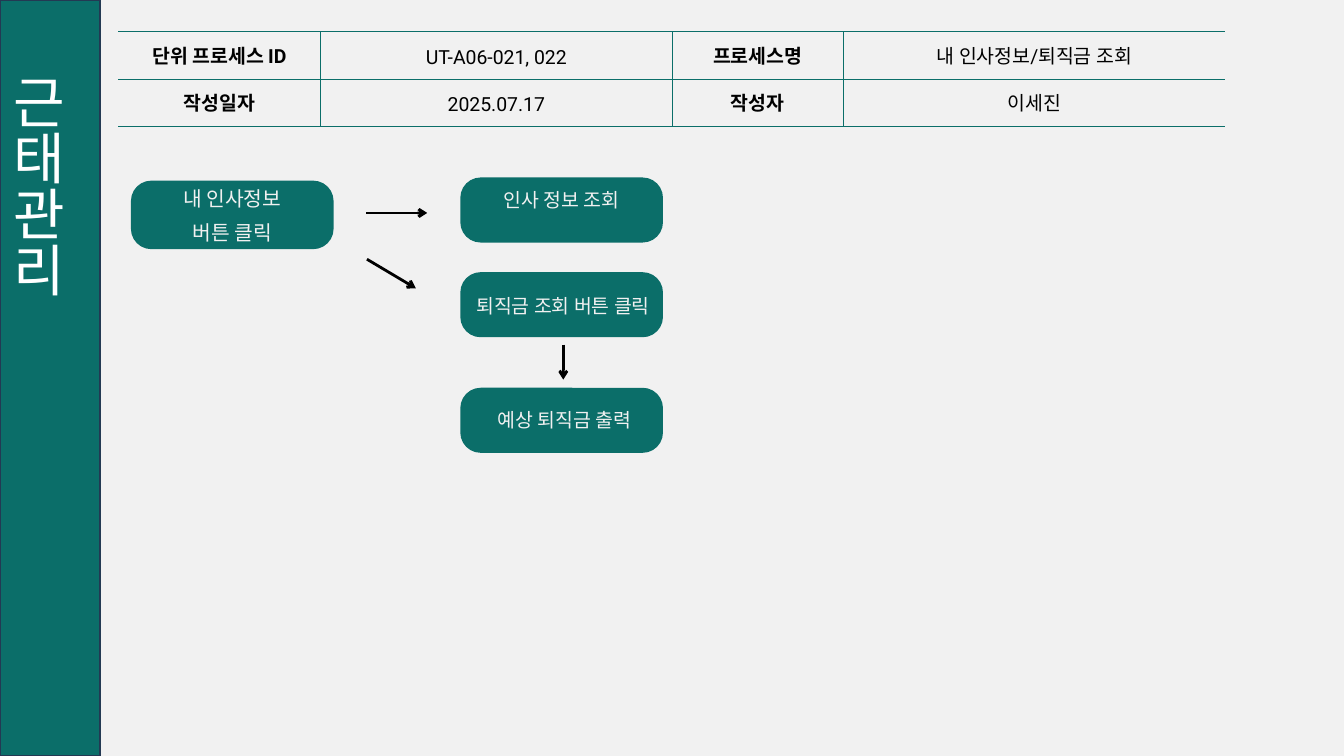
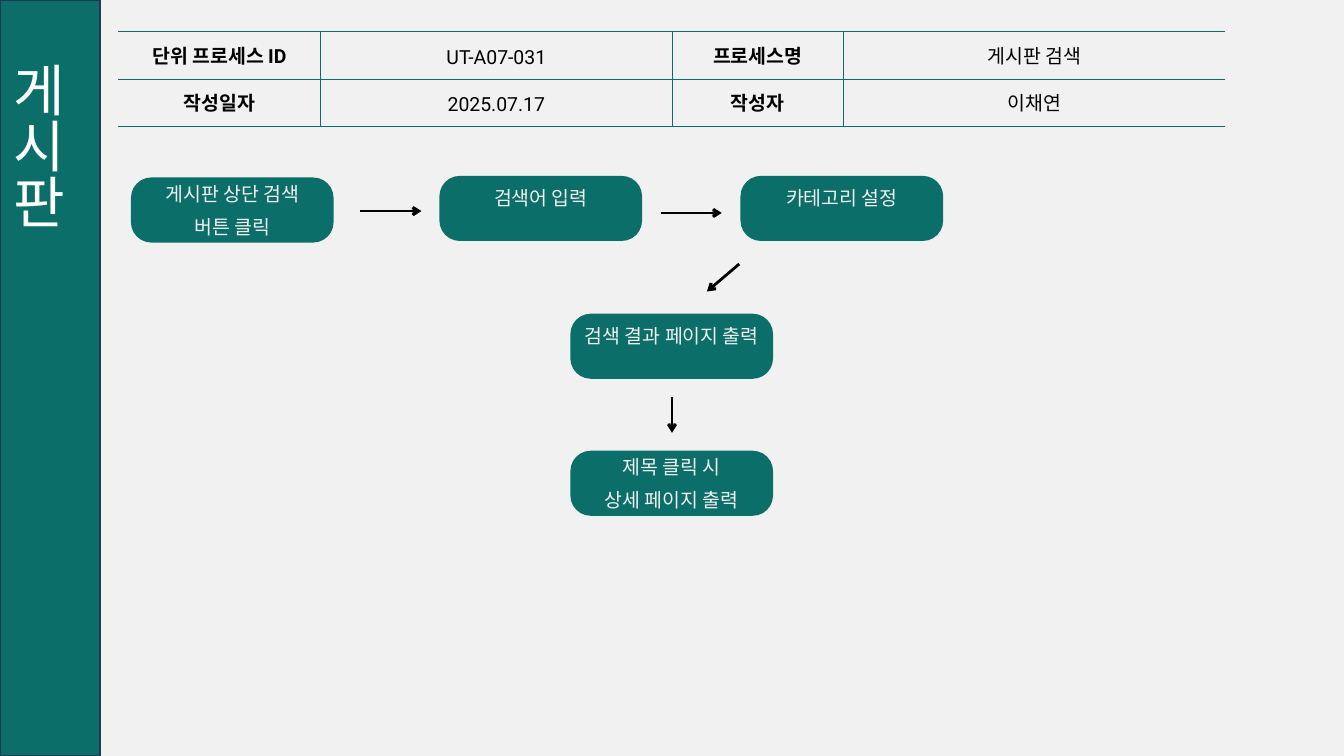
"""Builds two process-flow slides with a side bar, a header table and step boxes."""
from lxml.etree import SubElement
from pptx import Presentation
from pptx.dml.color import RGBColor
from pptx.enum.shapes import MSO_CONNECTOR as Connector, MSO_SHAPE as Shape
from pptx.enum.text import MSO_ANCHOR as Anchor, PP_ALIGN as Align
from pptx.oxml.ns import qn
from pptx.util import Cm, Pt

TEAL = RGBColor(0x0B, 0x6E, 0x69)
NAVY = RGBColor(0x23, 0x39, 0x53)
PALE = RGBColor(0xF1, 0xF1, 0xF1)
WHITE = RGBColor(0xFF, 0xFF, 0xFF)
BLACK = RGBColor(0, 0, 0)
BODY_FONT, TITLE_FONT = "Roboto", "Calibri"

SLIDE_WIDTH, SLIDE_HEIGHT, BAR_WIDTH = 50.8, 28.58, 3.78
TABLE_LEFT, TABLE_TOP, ROW_HEIGHT = 4.47, 1.19, 1.8
COLUMN_WIDTHS = [7.65, 13.28, 6.48, 14.43]
STEP_WIDTH, STEP_HEIGHT, STEP_RADIUS = 7.66, 2.46, 0.77
LABEL_EXTRA, LABEL_RISE = 1.1, 1.12
TEXT_SIZE, STEP_SPACING, TABLE_SPACING = 20.8, 35.2, 29.2

SLIDES = [
    {
        "title": "근태관리",
        "title_indent": 2.54,
        "header": [
            ["단위 프로세스 ID", "UT-A06-021, 022", "프로세스명", "내 인사정보/퇴직금 조회"],
            ["작성일자", "2025.07.17", "작성자", "이세진"],
        ],
        "steps": [
            {"lines": ["내 인사정보", "버튼 클릭"], "at": (4.95, 6.83),
             "height": 2.59, "size": 21.8, "spacing": 36.9},
            {"lines": ["인사 정보 조회"], "at": (17.4, 6.71)},
            {"lines": ["퇴직금 조회 버튼 클릭"], "at": (17.4, 10.29), "shift": 0.05, "rise": 0.71},
            {"lines": ["예상 퇴직금 출력"], "at": (17.4, 14.66), "shift": 0.1, "rise": 0.74},
        ],
        "arrows": [
            (13.84, 8.05, 16.15, 8.05),
            (13.87, 9.8, 15.72, 10.9),
            (21.29, 13.03, 21.29, 14.35),
        ],
    },
    {
        "title": "게시판",
        "title_indent": 2.12,
        "header": [
            ["단위 프로세스 ID", "UT-A07-031", "프로세스명", "게시판 검색"],
            ["작성일자", "2025.07.17", "작성자", "이채연"],
        ],
        "steps": [
            {"lines": ["게시판 상단 검색", "버튼 클릭"], "at": (4.95, 6.71)},
            {"lines": ["검색어 입력"], "at": (16.61, 6.65)},
            {"lines": ["카테고리 설정"], "at": (27.99, 6.65)},
            {"lines": ["검색 결과 페이지 출력"], "at": (21.56, 11.86)},
            {"lines": ["제목 클릭 시", "상세 페이지 출력"], "at": (21.56, 17.04)},
        ],
        "arrows": [
            (13.61, 7.98, 15.93, 7.98),
            (24.97, 8.05, 27.28, 8.05),
            (27.94, 9.98, 26.72, 11.02),
            (25.4, 15.01, 25.4, 16.36),
        ],
    },
]


def write(para, text, size, color, spacing=None, font=BODY_FONT, bold=False, align=Align.CENTER):
    para.alignment = align
    if spacing:
        para.line_spacing = Pt(spacing)
    span = para.add_run()
    span.text = text
    span.font.name, span.font.size, span.font.bold = font, Pt(size), bold
    span.font.color.rgb = color


def set_margins(target, margin):
    target.margin_left = target.margin_right = Cm(margin)
    target.margin_top = target.margin_bottom = Cm(margin)


def add_borders(cell, hidden_side):
    properties = cell._tc.get_or_add_tcPr()
    for side in ("lnL", "lnR", "lnT", "lnB"):
        line = SubElement(properties, qn(f"a:{side}"), w=str(Pt(0.75)))
        if side == hidden_side:
            SubElement(line, qn("a:noFill"))
        else:
            fill = SubElement(line, qn("a:solidFill"))
            SubElement(fill, qn("a:srgbClr"), val=str(TEAL))


def add_header(page, rows):
    frame = page.shapes.add_table(
        len(rows), len(COLUMN_WIDTHS), Cm(TABLE_LEFT), Cm(TABLE_TOP),
        Cm(sum(COLUMN_WIDTHS)), Cm(ROW_HEIGHT * len(rows)))
    table = frame.table
    table.first_row = table.horz_banding = False
    for column, width in zip(table.columns, COLUMN_WIDTHS):
        column.width = Cm(width)
    hidden_sides = {0: "lnL", len(COLUMN_WIDTHS) - 1: "lnR"}
    for row_index, texts in enumerate(rows):
        table.rows[row_index].height = Cm(ROW_HEIGHT)
        for column_index, text in enumerate(texts):
            cell = table.cell(row_index, column_index)
            set_margins(cell, 0.03)
            cell.vertical_anchor = Anchor.MIDDLE
            add_borders(cell, hidden_sides.get(column_index))
            cell.fill.background()
            write(cell.text_frame.paragraphs[0], text, TEXT_SIZE, BLACK,
                  TABLE_SPACING, bold=column_index % 2 == 0)


def add_step(page, lines, at, height=STEP_HEIGHT, size=TEXT_SIZE,
             spacing=STEP_SPACING, shift=0, rise=LABEL_RISE):
    left, top = at
    group = page.shapes.add_group_shape()
    box = group.shapes.add_shape(
        Shape.ROUNDED_RECTANGLE, Cm(left), Cm(top), Cm(STEP_WIDTH), Cm(height))
    box.adjustments[0] = STEP_RADIUS / height
    box.shadow.inherit = False
    box.fill.solid()
    box.fill.fore_color.rgb = TEAL
    box.line.fill.background()
    label = group.shapes.add_textbox(
        Cm(left + shift), Cm(top - rise), Cm(STEP_WIDTH), Cm(height + LABEL_EXTRA))
    frame = label.text_frame
    frame.word_wrap = True
    set_margins(frame, 0.15)
    frame.vertical_anchor = Anchor.BOTTOM if len(lines) > 1 else Anchor.MIDDLE
    for index, text in enumerate(lines):
        para = frame.add_paragraph() if index else frame.paragraphs[0]
        write(para, text, size, PALE, spacing)


def add_arrow(page, ends):
    arrow = page.shapes.add_connector(Connector.STRAIGHT, *map(Cm, ends))
    arrow.line.color.rgb = BLACK
    arrow.line.width = Pt(3)
    SubElement(arrow.line._get_or_add_ln(), qn("a:tailEnd"), type="arrow")
    SubElement(arrow._element.spPr, qn("a:effectLst"))


def add_side_bar(page, title, indent):
    bar = page.shapes.add_shape(Shape.RECTANGLE, 0, 0, Cm(BAR_WIDTH), Cm(SLIDE_HEIGHT))
    bar.shadow.inherit = False
    bar.fill.solid()
    bar.fill.fore_color.rgb = TEAL
    bar.line.color.rgb = NAVY
    bar.line.width = Pt(2)
    frame = bar.text_frame
    frame.vertical_anchor = Anchor.BOTTOM
    frame._txBody.bodyPr.set("vert", "eaVert")
    para = frame.paragraphs[0]
    para._p.get_or_add_pPr().set("marL", str(Cm(indent)))
    write(para, title, 60, WHITE, font=TITLE_FONT, align=Align.JUSTIFY)


def main():
    deck = Presentation()
    deck.slide_width, deck.slide_height = Cm(SLIDE_WIDTH), Cm(SLIDE_HEIGHT)
    for content in SLIDES:
        page = deck.slides.add_slide(deck.slide_layouts[6])
        page.background.fill.solid()
        page.background.fill.fore_color.rgb = PALE
        add_header(page, content["header"])
        for step in content["steps"]:
            add_step(page, **step)
        for ends in content["arrows"]:
            add_arrow(page, ends)
        add_side_bar(page, content["title"], content["title_indent"])
    deck.save("out.pptx")


if __name__ == "__main__":
    main()
